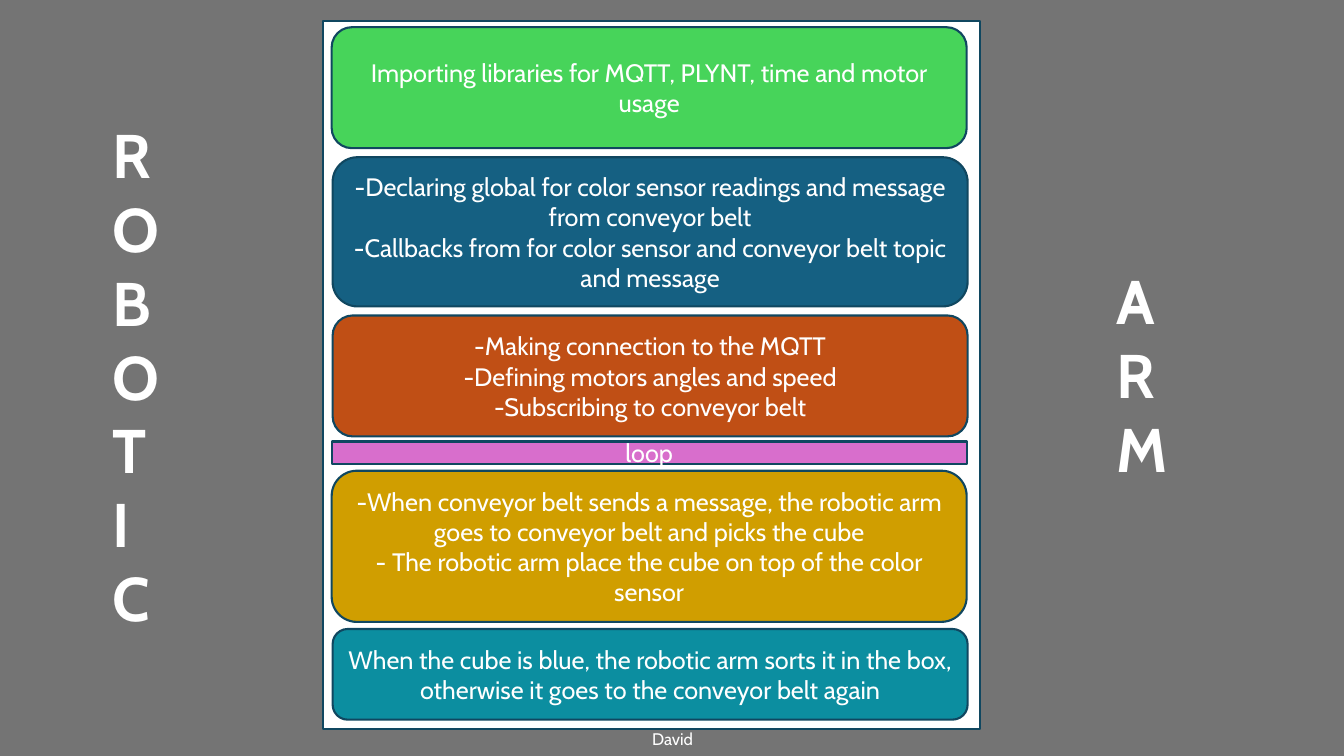
from dataclasses import dataclass

from pptx import Presentation, util as u
from pptx.dml.color import RGBColor
from pptx.enum import shapes, text

GREY = RGBColor(0x74, 0x74, 0x74)
WHITE = RGBColor(0xFF, 0xFF, 0xFF)
NAVY = RGBColor(0x10, 0x47, 0x60)
GREEN = RGBColor(0x47, 0xD4, 0x5A)
BLUE = RGBColor(0x15, 0x60, 0x82)
RUST = RGBColor(0xC0, 0x4F, 0x15)
PINK = RGBColor(0xD8, 0x6E, 0xCC)
GOLD = RGBColor(0xD0, 0x9E, 0x00)
TEAL = RGBColor(0x0C, 0x8E, 0xA0)

FONT = "Cabin"
WIDE = u.Inches(13.33)
HIGH = u.Inches(7.5)
RECT = shapes.MSO_SHAPE.RECTANGLE
ROUND = shapes.MSO_SHAPE.ROUNDED_RECTANGLE
LEFT = text.PP_ALIGN.LEFT
MID = text.PP_ALIGN.CENTER


@dataclass(frozen=True)
class Area:
    left: float
    top: float
    width: float
    height: float

    def place(self) -> tuple[int, int, int, int]:
        return (
            int(WIDE * self.left / 100),
            int(HIGH * self.top / 100),
            int(WIDE * self.width / 100),
            int(HIGH * self.height / 100),
        )


@dataclass(frozen=True)
class Step:
    left: float
    top: float
    height: float
    color: RGBColor
    words: str
    form: shapes.MSO_SHAPE = ROUND


@dataclass(frozen=True)
class Label:
    area: Area
    words: str
    size: int
    bold: bool = False
    align: text.PP_ALIGN = LEFT
    anchor: text.MSO_ANCHOR = text.MSO_ANCHOR.TOP


PANEL = Area(24, 2.8, 48.9, 93.6)
SPAN = 47.25
EDGE = 24.68
INSET = 24.75

STEPS = [
    Step(EDGE, 3.6, 16, GREEN,
         "Importing libraries for MQTT, PLYNT, time and motor usage"),
    Step(INSET, 20.8, 19.73, BLUE,
         "-Declaring global for color sensor readings and message from conveyor belt\n"
         "-Callbacks from for color sensor and conveyor belt topic and message"),
    Step(INSET, 41.73, 16, RUST,
         "-Making connection to the MQTT\n"
         "-Defining motors angles and speed\n"
         "-Subscribing to conveyor belt"),
    Step(EDGE, 58.4, 2.93, PINK, "loop", RECT),
    Step(EDGE, 62.27, 20, GOLD,
         "-When conveyor belt sends a message, the robotic arm goes to conveyor belt and picks the cube\n"
         "- The robotic arm place the cube on top of the color sensor"),
    Step(INSET, 83.2, 12, TEAL,
         "When the cube is blue, the robotic arm sorts it in the box, "
         "otherwise it goes to the conveyor belt again"),
]

LABELS = [
    Label(Area(7.65, 14.8, 8.48, 70.4), "\n".join("ROBOTIC"), 44, True),
    Label(Area(82.37, 34.13, 8.48, 30.93), "\n".join("ARM"), 44, True),
    Label(Area(33.16, 95.07, 33.76, 5.33), "David", 12,
          align=MID, anchor=text.MSO_ANCHOR.MIDDLE),
]


def write(frame, words: str, size: int, bold: bool,
          align: text.PP_ALIGN, anchor: text.MSO_ANCHOR) -> None:
    frame.text = words
    frame.word_wrap = True
    frame.vertical_anchor = anchor
    for para in frame.paragraphs:
        para.alignment = align
        for run in para.runs:
            run.font.name = FONT
            run.font.size = u.Pt(size)
            run.font.bold = bold
            run.font.color.rgb = WHITE


def block(slide, area: Area, color: RGBColor, form: shapes.MSO_SHAPE):
    shape = slide.shapes.add_shape(form, *area.place())
    shape.shadow.inherit = False
    shape.fill.solid()
    shape.fill.fore_color.rgb = color
    shape.line.color.rgb = NAVY
    shape.line.width = u.Pt(1.5)
    return shape


def card(slide, step: Step) -> None:
    area = Area(step.left, step.top, SPAN, step.height)
    shape = block(slide, area, step.color, step.form)
    write(shape.text_frame, step.words, 18, False, MID, text.MSO_ANCHOR.MIDDLE)


def label(slide, item: Label) -> None:
    box = slide.shapes.add_textbox(*item.area.place())
    write(box.text_frame, item.words, item.size, item.bold, item.align, item.anchor)


def main() -> None:
    deck = Presentation()
    deck.slide_width = WIDE
    deck.slide_height = HIGH
    slide = deck.slides.add_slide(deck.slide_layouts[6])
    slide.background.fill.solid()
    slide.background.fill.fore_color.rgb = GREY
    block(slide, PANEL, WHITE, RECT)
    for step in STEPS:
        card(slide, step)
    for item in LABELS:
        label(slide, item)
    deck.save("out.pptx")


if __name__ == "__main__":
    main()
